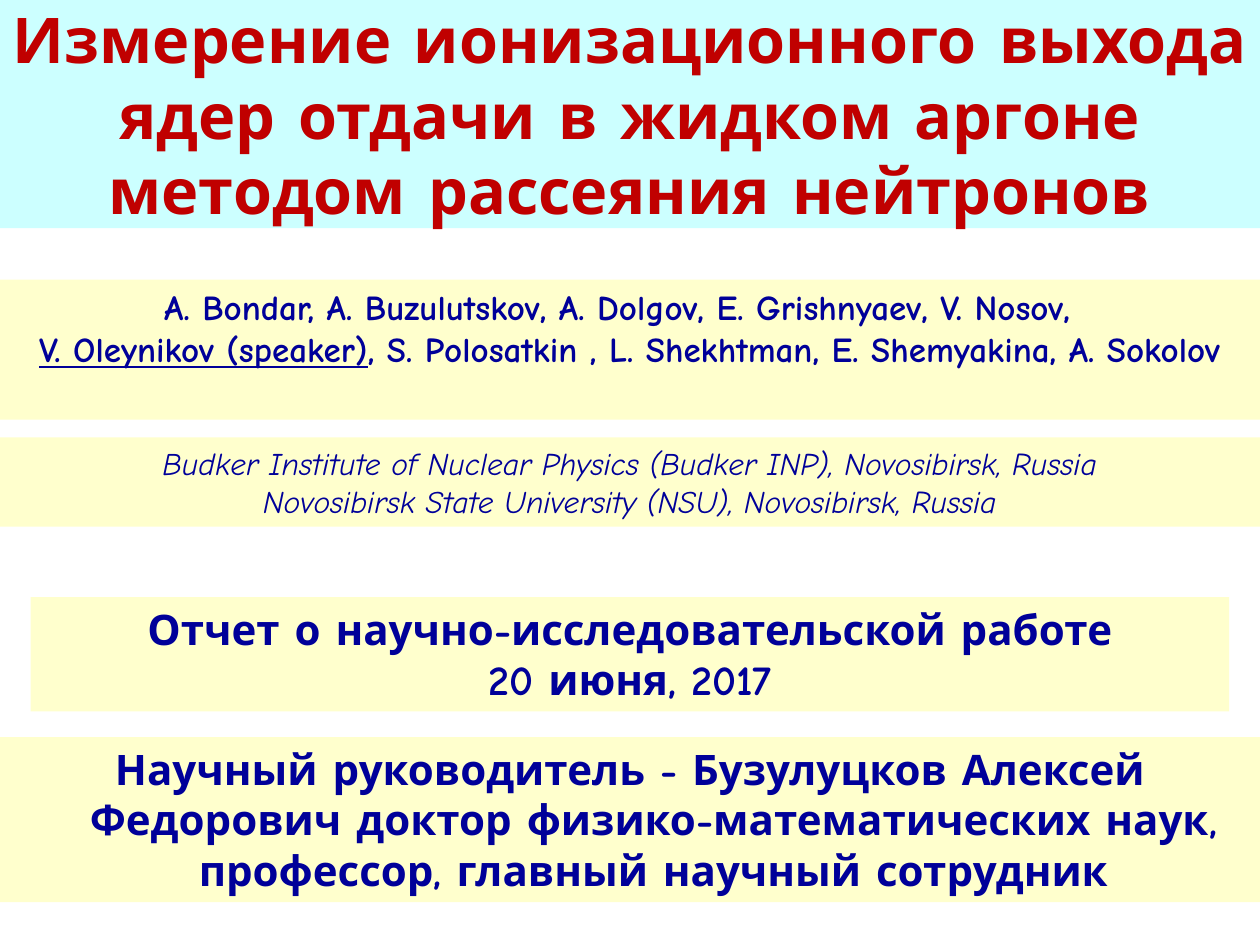
from pptx import Presentation
from pptx.dml.color import RGBColor
from pptx.enum.shapes import MSO_SHAPE as Shape
from pptx.enum.text import MSO_ANCHOR as Anchor, MSO_AUTO_SIZE as Auto, PP_ALIGN as Align
from pptx.util import Cm, Pt

AQUA, CREAM, RED, NAVY = "CCFFFF", "FFFFCD", "C00000", "000099"
WIDE = 25.4


def tint(code):
    return RGBColor.from_string(code)


class Deck:
    face = "Comic Neue"

    def __init__(self, width, height):
        self.file = Presentation()
        self.file.slide_width, self.file.slide_height = Cm(width), Cm(height)
        self.slide = self.file.slides.add_slide(self.file.slide_layouts[6])

    def band(self, left, top, width, height, lines, size, fill=CREAM, ink=NAVY,
             hang=0, anchor=Anchor.TOP, auto=Auto.SHAPE_TO_FIT_TEXT, **style):
        """Filled strip of centred lines; a line is a list of (text, format)."""
        box = self.slide.shapes.add_shape(
            Shape.RECTANGLE, Cm(left), Cm(top), Cm(width), Cm(height))
        box.shadow.inherit = False
        box.fill.solid()
        box.fill.fore_color.rgb = tint(fill)
        box.line.fill.background()
        frame = box.text_frame
        frame.word_wrap = True
        frame.auto_size = auto
        frame.vertical_anchor = anchor
        for i, line in enumerate(lines):
            para = frame.add_paragraph() if i else frame.paragraphs[0]
            para.alignment = Align.CENTER
            if hang:
                props = para._p.get_or_add_pPr()
                props.set("marL", str(Cm(hang)))
                props.set("indent", str(-Cm(hang)))
            for text, extra in line:
                self.run(para, text, ink, {"size": Pt(size), **style, **extra})

    def run(self, para, text, ink, style):
        run = para.add_run()
        run.text = text
        run.font.color.rgb = tint(ink)
        for key, value in {"name": self.face, **style}.items():
            setattr(run.font, key, value)


def main():
    deck = Deck(WIDE, 19.05)

    # Title
    deck.band(0, 0, WIDE, 4.6, [
        [("Измерение ионизационного выхода ядер отдачи в жидком аргоне "
          "методом рассеяния нейтронов", {})],
    ], 36, AQUA, RED, anchor=Anchor.MIDDLE, auto=Auto.NONE, bold=True)

    # Report and date
    deck.band(0.62, 12.04, 24.16, 2.3, [
        [("Отчет о научно-исследовательской работе", {})],
        [("20 июня, 2017", {})],
    ], 24, hang=0.95, bold=True)

    # Authors
    deck.band(0, 5.64, WIDE, 2.82, [
        [("A. Bondar, A. Buzulutskov, A. Dolgov, E. Grishnyaev, V. Nosov,  ", {})],
        [("V. Oleynikov (speaker)", {"underline": True}),
         (", S. Polosatkin , L. Shekhtman, E. Shemyakina, A. Sokolov", {})],
    ], 20, hang=1.27, bold=True)

    # Institutes
    deck.band(0, 8.82, WIDE, 1.8, [
        [("Budker Institute of Nuclear Physics (Budker INP), Novosibirsk, Russia", {})],
        [("Novosibirsk State University (NSU), Novosibirsk, Russia", {})],
    ], 18, anchor=Anchor.MIDDLE, italic=True)

    # Supervisor
    deck.band(0, 14.86, WIDE, 3.33, [
        [("Научный руководитель - Бузулуцков Алексей Федорович доктор "
          "физико-математических наук, профессор, главный научный сотрудник", {})],
    ], 24, hang=0.95, bold=True)

    deck.file.save("out.pptx")


if __name__ == "__main__":
    main()
